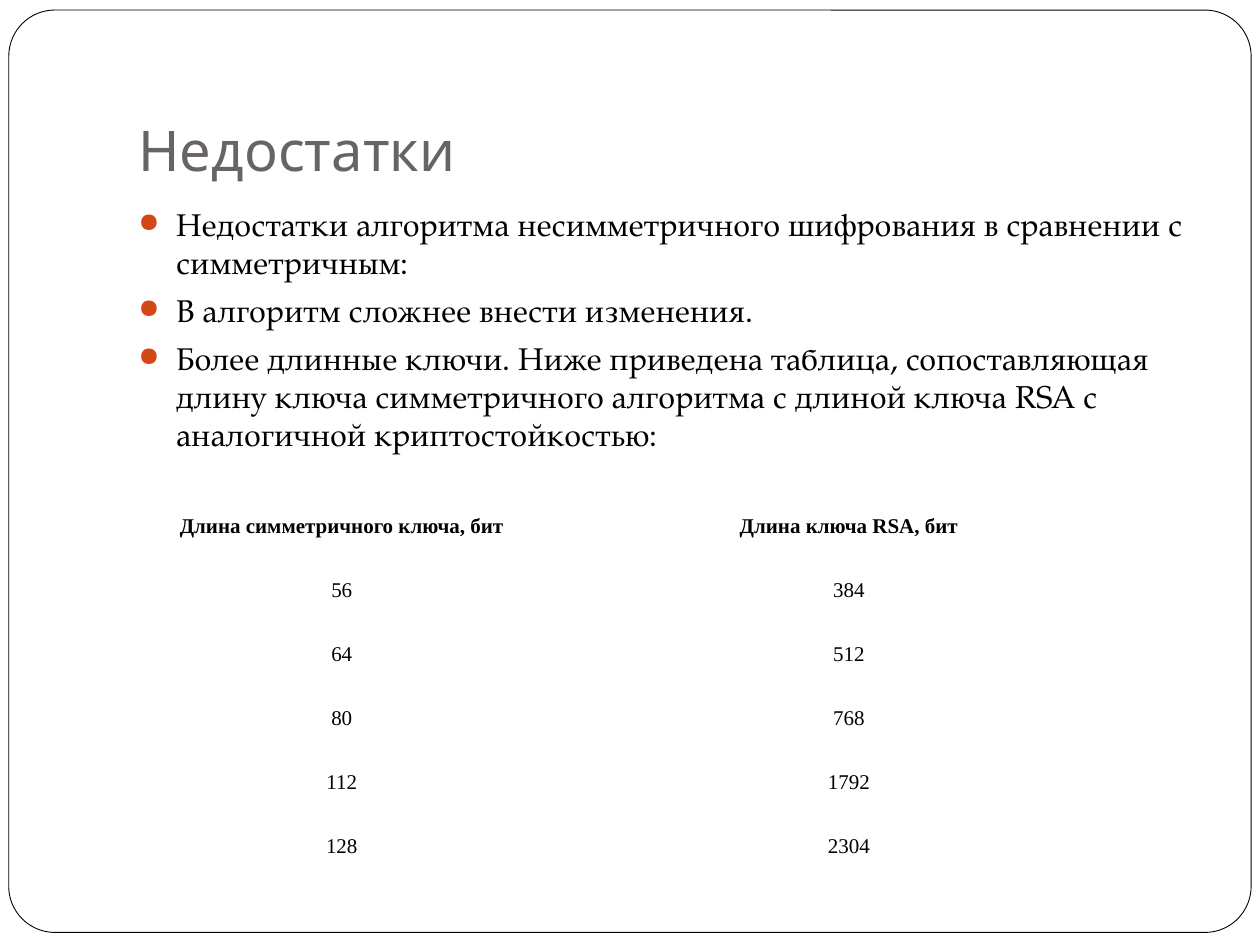
import pptx
import pptx.util
import pptx.dml.color
import pptx.enum.shapes
import pptx.enum.text
import pptx.oxml.ns
import lxml.etree

Inches = pptx.util.Inches
Pt = pptx.util.Pt
Anchor = pptx.enum.text.MSO_ANCHOR
Align = pptx.enum.text.PP_ALIGN

COLORS = {"paper": "FFFFFF", "ink": "000000", "title": "696464", "bullet": "D34817"}
FONTS = {
    "title": {"name": "Karla", "size": Pt(32), "bold": False},
    "body": {"name": "TeX Gyre Pagella", "size": Pt(18), "bold": False},
    "head": {"name": "Times New Roman", "size": Pt(12), "bold": True},
    "cell": {"name": "Times New Roman", "size": Pt(12), "bold": False},
}
SIDES = ("left", "top", "right", "bottom")
POINTS = [
    "Недостатки алгоритма несимметричного шифрования в сравнении с симметричным:",
    "В алгоритм сложнее внести изменения.",
    "Более длинные ключи. Ниже приведена таблица, сопоставляющая длину ключа "
    "симметричного алгоритма с длиной ключа RSA с аналогичной криптостойкостью:",
]
KEYS = [
    ("Длина симметричного ключа, бит", "Длина ключа RSA, бит"),
    (56, 384),
    (64, 512),
    (80, 768),
    (112, 1792),
    (128, 2304),
]


def color(name):
    return pptx.dml.color.RGBColor.from_string(COLORS[name])


def apply(target, values):
    for name, value in values.items():
        setattr(target, name, value)


def write(para, text, style, ink="ink"):
    run = para.add_run()
    run.text = str(text)
    apply(run.font, FONTS[style])
    run.font.color.rgb = color(ink)


def margins(*sizes):
    return {"margin_" + side: Inches(size) for side, size in zip(SIDES, sizes)}


def bullet(para):
    props = para._p.get_or_add_pPr()
    apply(para, {"space_before": Pt(5.8)})
    props.set("marL", str(Inches(0.3)))
    props.set("indent", str(Inches(-0.3)))
    qn = pptx.oxml.ns.qn
    tint = lxml.etree.SubElement(props, qn("a:buClr"))
    lxml.etree.SubElement(tint, qn("a:srgbClr"), val=COLORS["bullet"])
    lxml.etree.SubElement(props, qn("a:buSzPct"), val="85000")
    lxml.etree.SubElement(props, qn("a:buChar"), char="●")


def add_frame(slide, box):
    kind = pptx.enum.shapes.MSO_SHAPE.ROUNDED_RECTANGLE
    frame = slide.shapes.add_shape(kind, *map(Inches, box))
    frame.adjustments[0] = 0.05
    frame.shadow.inherit = False
    frame.fill.solid()
    frame.fill.fore_color.rgb = color("paper")
    frame.line.color.rgb = color("ink")
    frame.line.width = Pt(0.5)


def add_text(slide, box, anchor, insets):
    frame = slide.shapes.add_textbox(*map(Inches, box)).text_frame
    apply(frame, {"word_wrap": True, "vertical_anchor": anchor, **margins(*insets)})
    return frame


def add_title(slide, box, text):
    frame = add_text(slide, box, Anchor.BOTTOM, (0.1, 0.05, 0.1, 0.1))
    write(frame.paragraphs[0], text, "title", "title")


def add_body(slide, box, points):
    frame = add_text(slide, box, Anchor.TOP, (0.1, 0.05, 0.1, 0.05))
    for index, text in enumerate(points):
        para = frame.add_paragraph() if index else frame.paragraphs[0]
        bullet(para)
        write(para, text, "body")


def add_keys(slide, box, rows):
    shape = slide.shapes.add_table(len(rows), len(rows[0]), *map(Inches, box))
    table = shape.table
    apply(table, {"first_row": False, "horz_banding": False})
    for r, row in enumerate(rows):
        for c, text in enumerate(row):
            cell = table.cell(r, c)
            cell.fill.background()
            apply(cell, {"vertical_anchor": Anchor.MIDDLE,
                         **margins(0.01, 0.01, 0.01, 0.01)})
            para = cell.text_frame.paragraphs[0]
            apply(para, {"alignment": Align.CENTER, "line_spacing": 1.15})
            write(para, text, "cell" if r else "head")


def main():
    deck = pptx.Presentation()
    apply(deck, {"slide_width": Inches(10), "slide_height": Inches(7.5)})
    slide = deck.slides.add_slide(deck.slide_layouts[6])
    add_frame(slide, (0.07, 0.08, 9.86, 7.32))
    add_title(slide, (1, 0.3, 8.5, 1.25), "Недостатки")
    add_body(slide, (1, 1.58, 8.5, 5), POINTS)
    add_keys(slide, (0.7, 3.91, 8.05, 3.05), KEYS)
    deck.save("out.pptx")


main()
